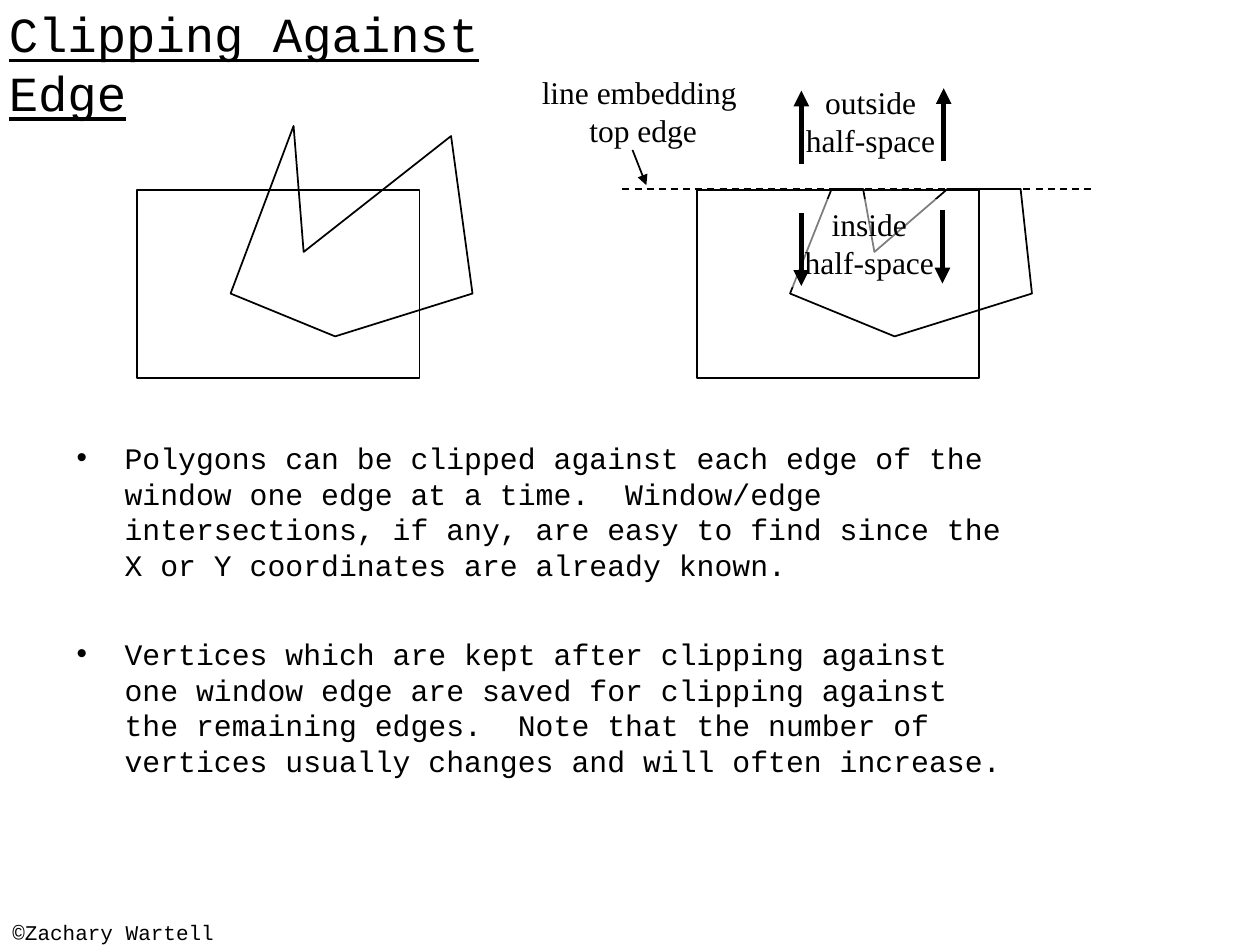
from lxml.etree import SubElement
from pptx import Presentation
from pptx.dml.color import RGBColor
from pptx.enum.dml import MSO_LINE_DASH_STYLE as Dash
from pptx.enum.shapes import MSO_CONNECTOR as Connector, MSO_SHAPE as Shape
from pptx.enum.text import MSO_ANCHOR as Anchor, MSO_AUTO_SIZE as AutoSize, PP_ALIGN as Align
from pptx.oxml.ns import qn
from pptx.util import Inches, Pt

BLACK = RGBColor(0x00, 0x00, 0x00)
WHITE = RGBColor(0xFF, 0xFF, 0xFF)
MONO = "Courier New"
SERIF = "Times New Roman"

# Grid of 100 columns by 75 rows, square cells
COLUMNS, ROWS = 100, 75
CELL = Inches(0.1)
PANEL_SHIFT = 44.4  # columns from the left figure to the right one

POLYGON = [(18.3, 23.3), (23.3, 10), (24.1, 20), (35.8, 10.8),
           (37.5, 23.3), (26.6, 26.7)]
CLIPPED_POLYGON = [(62.7, 23.3), (66, 15), (68.5, 15), (69.4, 20),
                   (75.2, 15), (81, 15), (81.9, 23.3), (71, 26.7)]
BULLETS = [
    "Polygons can be clipped against each edge of the window one edge at a time.  "
    "Window/edge intersections, if any, are easy to find since the X or Y "
    "coordinates are already known.",
    "Vertices which are kept after clipping against one window edge are saved for "
    "clipping against the remaining edges.  Note that the number of vertices "
    "usually changes and will often increase.",
]


def grid(*cells):
    """Turn column and row counts into lengths."""
    return [round(cell * CELL) for cell in cells]


def outline(shape):
    shape.shadow.inherit = False
    shape.fill.background()
    shape.line.color.rgb = BLACK
    shape.line.width = Pt(1)


def add_bullet(paragraph):
    properties = paragraph._p.get_or_add_pPr()
    properties.set("marL", str(Inches(0.38)))
    properties.set("indent", str(-Inches(0.38)))
    color = SubElement(SubElement(properties, qn("a:buClr")), qn("a:srgbClr"))
    color.set("val", str(BLACK))
    SubElement(properties, qn("a:buFont")).set("typeface", "Arial")
    SubElement(properties, qn("a:buChar")).set("char", "•")


def write_text(shape, paragraphs, size, font=MONO, align=Align.LEFT, wrap=True,
               underline=False, bullets=False, gap=0, inset=(0.1, 0.05)):
    frame = shape.text_frame
    frame.word_wrap = wrap
    if not wrap:
        frame.auto_size = AutoSize.SHAPE_TO_FIT_TEXT
    frame.vertical_anchor = Anchor.TOP
    frame.margin_left = frame.margin_right = Inches(inset[0])
    frame.margin_top = frame.margin_bottom = Inches(inset[1])
    for index, text in enumerate(paragraphs):
        paragraph = frame.add_paragraph() if index else frame.paragraphs[0]
        if bullets:
            add_bullet(paragraph)
        paragraph.alignment = align
        if index and gap:
            paragraph.space_before = Pt(gap)
        run = paragraph.add_run()
        run.text = text
        run.font.name = font
        run.font.size = Pt(size)
        run.font.underline = underline
        run.font.color.rgb = BLACK


def add_text(slide, box, paragraphs, size, **text_format):
    write_text(slide.shapes.add_textbox(*grid(*box)), paragraphs, size, **text_format)


def add_label(slide, box, paragraphs):
    add_text(slide, box, paragraphs, 18, font=SERIF, align=Align.CENTER, wrap=False)


def add_veiled_label(slide, box, paragraphs, opacity):
    """Label on a see-through white rectangle."""
    shape = slide.shapes.add_shape(Shape.RECTANGLE, *grid(*box))
    shape.shadow.inherit = False
    shape.fill.solid()
    shape.fill.fore_color.rgb = WHITE
    color = next(shape._element.spPr.iter(qn("a:srgbClr")))
    SubElement(color, qn("a:alpha")).set("val", str(opacity * 1000))
    shape.line.fill.background()
    write_text(shape, paragraphs, 18, font=SERIF, align=Align.CENTER, wrap=False)


def add_window(slide, left):
    outline(slide.shapes.add_shape(Shape.RECTANGLE, *grid(left, 15.1, 22.4, 14.9)))


def add_polygon(slide, corners):
    start, *others = [grid(*corner) for corner in corners]
    builder = slide.shapes.build_freeform(*start)
    builder.add_line_segments(others, close=True)
    outline(builder.convert_to_shape())


def add_line(slide, start, end, width=1, dash=None, arrow=False):
    line = slide.shapes.add_connector(Connector.STRAIGHT, *grid(*start, *end))
    line.line.color.rgb = BLACK
    line.line.width = Pt(width)
    if dash:
        line.line.dash_style = dash
    if arrow:
        SubElement(line.line._get_or_add_ln(), qn("a:tailEnd")).set("type", "triangle")
    SubElement(line._element.spPr, qn("a:effectLst"))


def main():
    presentation = Presentation()
    presentation.slide_width, presentation.slide_height = grid(COLUMNS, ROWS)
    slide = presentation.slides.add_slide(presentation.slide_layouts[6])

    # Footer, title and body text
    add_text(slide, (0, 72.5, 31.7, 2.5), ["©Zachary Wartell"], 12)
    add_text(slide, (0, 0, 39.7, 9.9), ["Clipping Against Edge"], 28,
             underline=True, inset=(0.07, 0.03))
    add_text(slide, (5.1, 34.4, 75.8, 27.5), BULLETS, 17, bullets=True, gap=30.4)

    # Window and polygon, before and after clipping
    for left, corners in ((10.9, POLYGON), (10.9 + PANEL_SHIFT, CLIPPED_POLYGON)):
        add_window(slide, left)
        add_polygon(slide, corners)

    # Line through the top edge
    add_line(slide, (49.4, 15), (86.8, 15), dash=Dash.DASH)
    add_label(slide, (42, 5.3, 18.1, 7), ["line embedding ", "top edge"])
    add_line(slide, (50.2, 11.9), (51.3, 14.7), arrow=True)

    # Half-spaces, each between two arrows
    add_label(slide, (62.8, 6.1, 12.6, 7), ["outside", "half-space"])
    add_veiled_label(slide, (62.7, 15.8, 12.6, 7), ["inside", "half-space"], 49)
    for column, start, length in ((63.6, 13, -5.8), (74.9, 12.8, -5.8),
                                  (63.6, 16.9, 5.8), (74.8, 16.7, 5.8)):
        add_line(slide, (column, start), (column, start + length), width=3, arrow=True)

    presentation.save("out.pptx")


if __name__ == "__main__":
    main()
